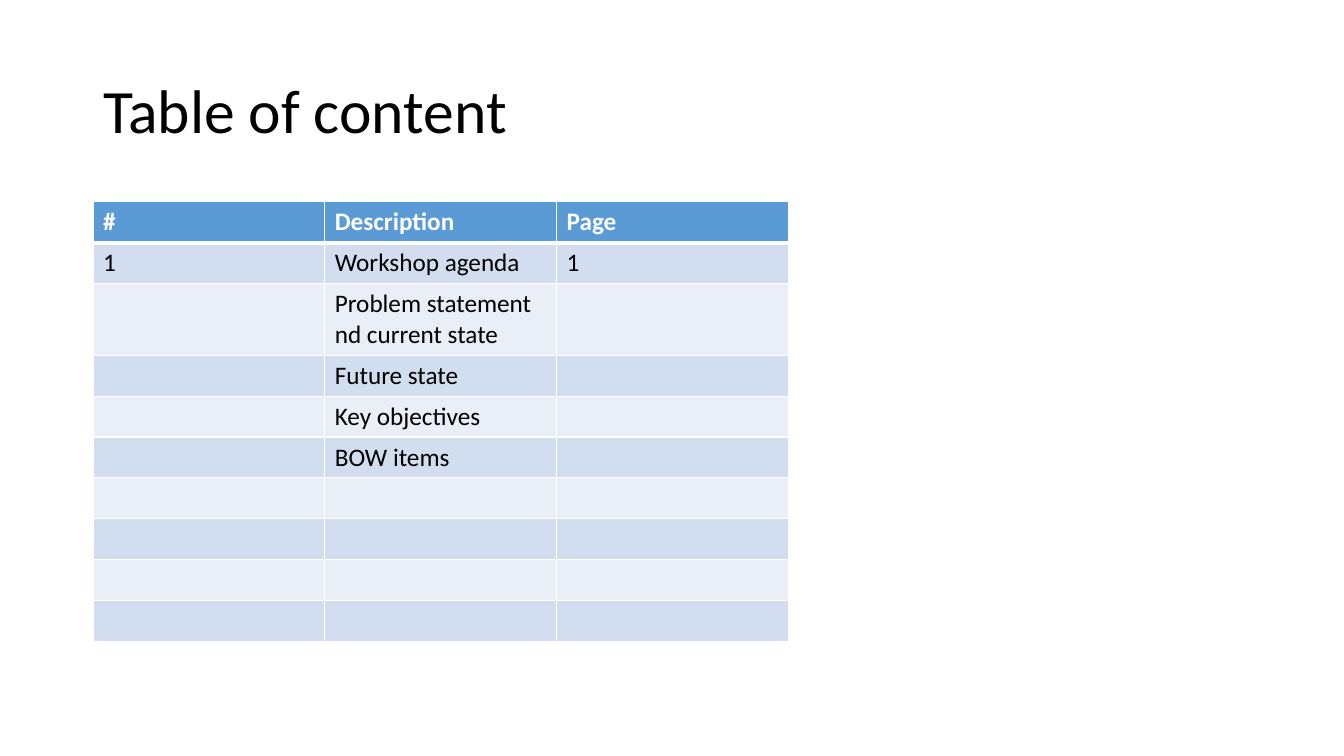
from lxml.etree import SubElement
from pptx import Presentation
from pptx.dml.color import RGBColor
from pptx.enum.text import MSO_ANCHOR as Anchor, MSO_AUTO_SIZE as AutoSize, PP_ALIGN as Align
from pptx.oxml.ns import qn
from pptx.util import Pt

FONT = "Calibri"
WHITE, BLACK = "FFFFFF", "000000"
HEADER_FILL = "5B9BD5"
BAND_FILLS = ("EAEFF7", "D2DEEF")
LEFT = 66.4
COLUMN_WIDTH, ROW_HEIGHT = 165.6, 29.2

CONTENTS = [
    ("#", "Description", "Page"),
    ("1", "Workshop agenda", "1"),
    ("", "Problem statement nd current state", ""),
    ("", "Future state", ""),
    ("", "Key objectives", ""),
    ("", "BOW items", ""),
] + [("", "", "")] * 4


def color(hex_string):
    return RGBColor.from_string(hex_string)


def add_run(paragraph, text, size, hex_string, bold=False):
    run = paragraph.add_run()
    run.text = text
    run.font.name = FONT
    run.font.size = Pt(size)
    run.font.bold = bold
    run.font.color.rgb = color(hex_string)


def set_title(slide, text):
    title = slide.shapes.title
    title.left, title.top, title.width, title.height = Pt(LEFT), Pt(28.8), Pt(828), Pt(104.4)
    frame = title.text_frame
    frame.auto_size = AutoSize.NONE
    frame.vertical_anchor = Anchor.MIDDLE
    paragraph = frame.paragraphs[0]
    paragraph.alignment = Align.LEFT
    paragraph.line_spacing = 0.9
    add_run(paragraph, text, 44, BLACK)


def set_border(cell, side, width):
    properties = cell._tc.get_or_add_tcPr()
    line = SubElement(properties, qn("a:ln" + side), w=str(Pt(width)))
    fill = SubElement(line, qn("a:solidFill"))
    SubElement(fill, qn("a:srgbClr"), val=WHITE)


def format_cell(cell, text, row):
    is_header = row == 0
    # The rule below the header is thicker than the others
    set_border(cell, "L", 1)
    set_border(cell, "R", 1)
    set_border(cell, "T", 3 if row == 1 else 1)
    set_border(cell, "B", 3 if is_header else 1)
    cell.fill.solid()
    cell.fill.fore_color.rgb = color(HEADER_FILL if is_header else BAND_FILLS[row % 2])
    if text:
        add_run(cell.text_frame.paragraphs[0], text, 18, WHITE if is_header else BLACK, is_header)


def add_contents_table(slide, rows):
    columns = len(rows[0])
    table = slide.shapes.add_table(
        len(rows), columns, Pt(LEFT), Pt(144.2),
        Pt(COLUMN_WIDTH * columns), Pt(ROW_HEIGHT * len(rows))).table
    for column in table.columns:
        column.width = Pt(COLUMN_WIDTH)
    for row, texts in enumerate(rows):
        table.rows[row].height = Pt(ROW_HEIGHT)
        for column, text in enumerate(texts):
            format_cell(table.cell(row, column), text, row)


def main():
    presentation = Presentation()
    presentation.slide_width, presentation.slide_height = Pt(960), Pt(540)
    # Title Only layout
    slide = presentation.slides.add_slide(presentation.slide_layouts[5])
    set_title(slide, "Table of content")
    add_contents_table(slide, CONTENTS)
    presentation.save("out.pptx")


if __name__ == "__main__":
    main()
